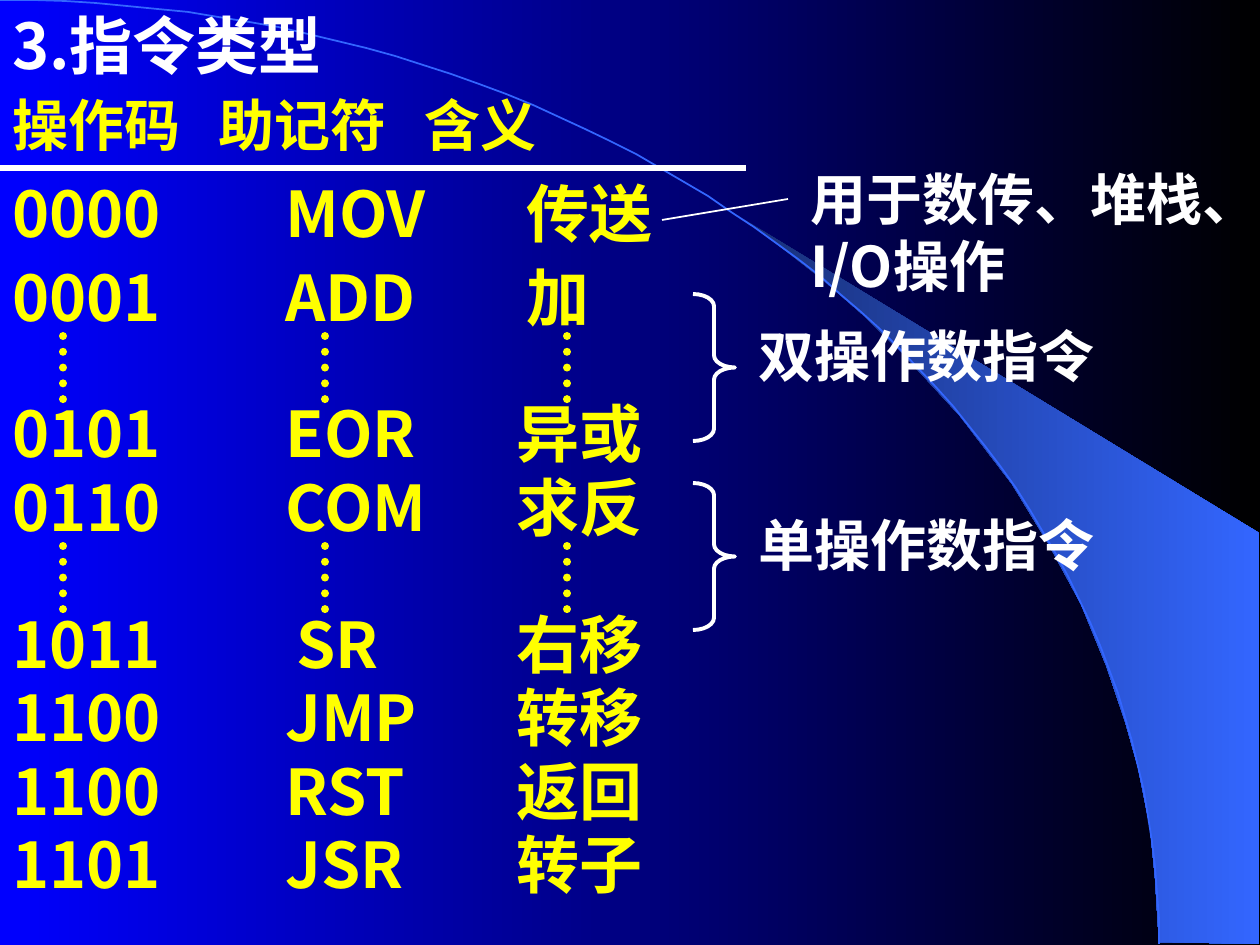
from lxml.etree import SubElement
from pptx import Presentation
from pptx.dml.color import RGBColor
from pptx.enum.dml import MSO_LINE
from pptx.enum.shapes import MSO_CONNECTOR, MSO_SHAPE
from pptx.enum.text import MSO_AUTO_SIZE
from pptx.oxml.ns import qn
from pptx.util import Pt

SCALE = 914400 / 126
FONT = "Noto Sans CJK SC"
COLORS = {"blue": "0000FF", "black": "000000", "navy": "182F76",
          "azure": "3366FF", "yellow": "FFFF00", "white": "FFFFFF"}

# top, opcode, mnemonic, its left, meaning, its left
INSTRUCTIONS = [
    (168, "0000", "MOV", 273, "传送", 514),
    (252, "0001", "ADD", 273, "加", 514),
    (388, "0101", "EOR", 273, "异或", 504),
    (462, "0110", "COM", 273, "求反", 504),
    (599, "1011", "SR", 284, "右移", 504),
    (672, "1100", "JMP", 273, "转移", 504),
    (746, "1100", "RST", 273, "返回", 504),
    (819, "1101", "JSR", 273, "转子", 504),
]
WEDGE = [(1159, 942), (1259, 944), (1259, 533), (742, 218), (786, 251),
         (823, 280), (863, 315), (902, 353), (960, 416), (1012, 484),
         (1048, 543), (1081, 604), (1106, 665), (1125, 721), (1138, 767),
         (1150, 827), (1155, 877)]
ARC = [(0, 0), (640, 0), (1159, 422), (1159, 944)]


def emu(px):
    return round(px * SCALE)


def rgb(name):
    return RGBColor.from_string(COLORS[name])


def set_gradient(fill, start, end):
    fill.gradient()
    fill.gradient_angle = 0
    for stop, name in zip(fill.gradient_stops, (start, end)):
        stop.color.rgb = rgb(name)


def set_line(line, color, width):
    line.color.rgb = rgb(color)
    line.width = Pt(width)


def bezier(points, steps=60):
    """Points along a cubic curve."""
    (x0, y0), (x1, y1), (x2, y2), (x3, y3) = points
    for i in range(steps + 1):
        t = i / steps
        a, b, c, d = (1 - t) ** 3, 3 * t * (1 - t) ** 2, 3 * t * t * (1 - t), t ** 3
        yield (a * x0 + b * x1 + c * x2 + d * x3,
               a * y0 + b * y1 + c * y2 + d * y3)


def add_outline(slide, points, close):
    start, *rest = points
    builder = slide.shapes.build_freeform(*start, scale=SCALE)
    builder.add_line_segments(rest, close=close)
    outline = builder.convert_to_shape()
    outline.shadow.inherit = False
    return outline


def add_backdrop(slide):
    set_gradient(slide.background.fill, "blue", "black")
    wedge = add_outline(slide, WEDGE, close=True)
    set_gradient(wedge.fill, "navy", "azure")
    wedge.line.fill.background()
    arc = add_outline(slide, list(bezier(ARC)), close=False)
    arc.fill.background()
    set_line(arc.line, "azure", 1)


def add_text(slide, text, left, top, width, height, size, color, tabs=()):
    frame = slide.shapes.add_textbox(*map(emu, (left, top, width, height))).text_frame
    frame.word_wrap = True
    frame.auto_size = MSO_AUTO_SIZE.SHAPE_TO_FIT_TEXT
    paragraph = frame.paragraphs[0]
    if tabs:
        tab_list = SubElement(paragraph._p.get_or_add_pPr(), qn("a:tabLst"))
        for position in tabs:
            SubElement(tab_list, qn("a:tab"), pos=str(emu(position)), algn="l")
    run = paragraph.add_run()
    run.text = text
    for key, value in {"size": Pt(size), "bold": True, "name": FONT}.items():
        setattr(run.font, key, value)
    run.font.color.rgb = rgb(color)
    SubElement(run.font._element, qn("a:ea"), typeface=FONT)


def add_line(slide, x1, y1, x2, y2, color, width):
    connector = slide.shapes.add_connector(
        MSO_CONNECTOR.STRAIGHT, *map(emu, (x1, y1, x2, y2)))
    set_line(connector.line, color, width)
    SubElement(connector._element.spPr, qn("a:effectLst"))
    return connector


def add_omitted_rows(slide, top):
    """Dotted line in each column, standing for the rows left out."""
    for x in (63, 325, 567):
        dots = add_line(slide, x, top, x, top + 74, "yellow", 4.5)
        dots.line.dash_style = MSO_LINE.ROUND_DOT
        dots.line._get_or_add_ln().set("cap", "rnd")


def add_operand_group(slide, label, top):
    brace = slide.shapes.add_shape(
        MSO_SHAPE.RIGHT_BRACE, *map(emu, (693, top, 42, 147)))
    brace.adjustments[0] = 0.29
    brace.shadow.inherit = False
    brace.fill.background()
    set_line(brace.line, "white", 2.25)
    add_text(slide, label, 746, top + 21, 462, 81, 32, "white")


def main():
    prs = Presentation()
    prs.slide_width, prs.slide_height = emu(1260), emu(945)
    slide = prs.slides.add_slide(prs.slide_layouts[6])
    add_backdrop(slide)

    add_text(slide, "操作码\t助记符\t含义", 0, 84, 861, 81, 32, "yellow", tabs=(206, 412))
    add_text(slide, "3.指令类型", 0, 0, 683, 88, 36, "white")
    add_line(slide, 0, 168, 746, 168, "white", 3)

    for top, opcode, mnemonic, mnemonic_left, meaning, meaning_left in INSTRUCTIONS:
        for text, left, width in ((opcode, 0, 231), (mnemonic, mnemonic_left, 179),
                                  (meaning, meaning_left, 221)):
            add_text(slide, text, left, top, width, 88, 36, "yellow")
    for top in (336, 546):
        add_omitted_rows(slide, top)

    add_text(slide, "用于数传、堆栈、I/O操作", 798, 158, 462, 147, 32, "white")
    add_line(slide, 662, 220, 788, 199, "white", 1)
    for label, top in (("双操作数指令", 294), ("单操作数指令", 483)):
        add_operand_group(slide, label, top)
    prs.save("out.pptx")


if __name__ == "__main__":
    main()
